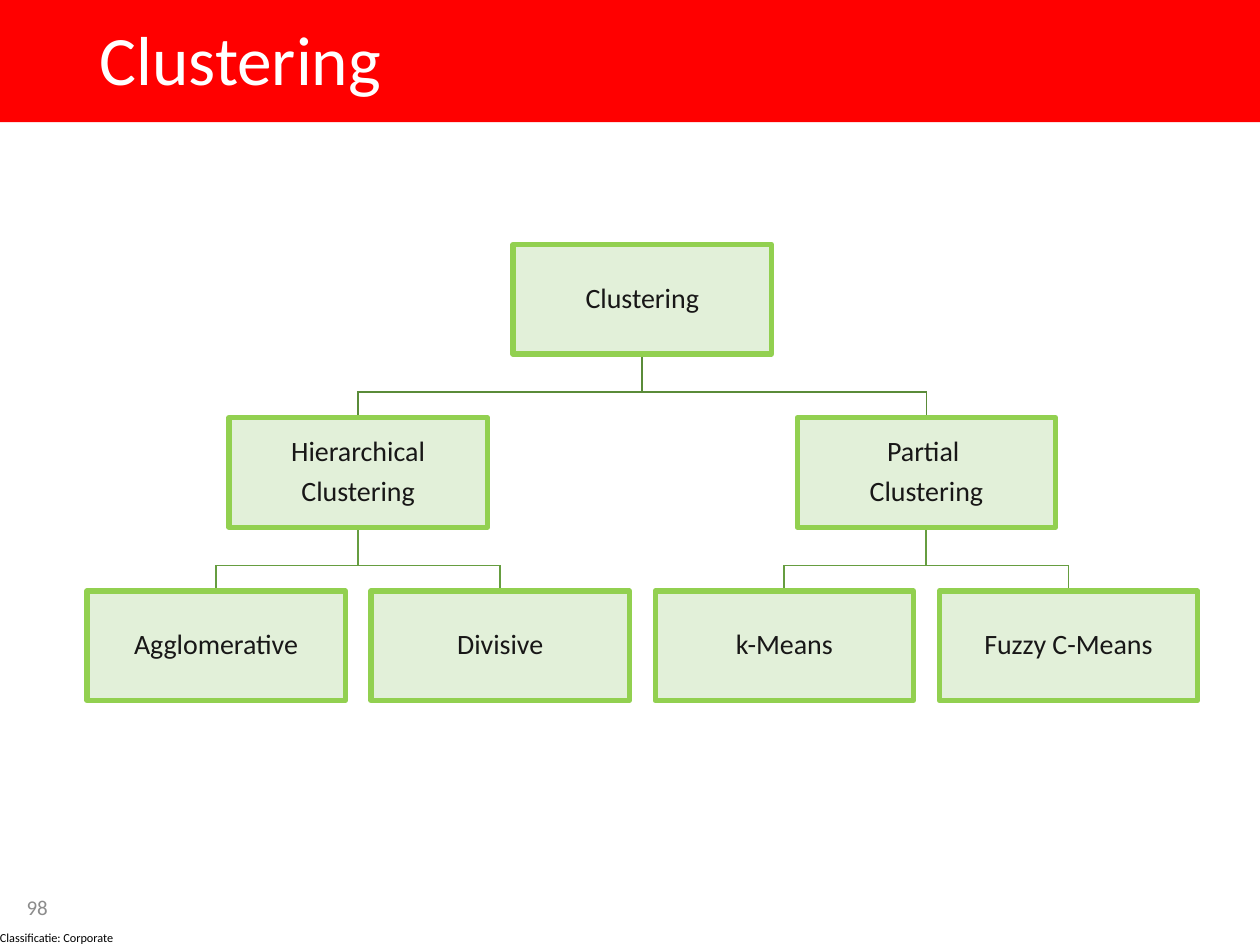
from lxml.etree import SubElement
from pptx import Presentation
from pptx.dml.color import RGBColor
from pptx.enum.shapes import MSO_SHAPE
from pptx.enum.text import MSO_ANCHOR, PP_ALIGN
from pptx.oxml.ns import qn
from pptx.util import Inches, Pt

RED = RGBColor(0xFF, 0x00, 0x00)
WHITE = RGBColor(0xFF, 0xFF, 0xFF)
BLACK = RGBColor(0x00, 0x00, 0x00)
GREY = RGBColor(0x8C, 0x8C, 0x8C)
INK = RGBColor(0x18, 0x17, 0x17)
PALE_GREEN = RGBColor(0xE2, 0xF0, 0xD9)
LIME = RGBColor(0x92, 0xD0, 0x50)
# Connector colour by the row of the parent
LINK_GREENS = [RGBColor(0x5A, 0x8B, 0x39), RGBColor(0x66, 0x9D, 0x40)]

# Tree grid, in inches
LEFT, TOP = 0.69, 1.94
COL, ROW = 2.255, 1.375
BOX_W, BOX_H = 2.05, 0.87


def write(shape, text, size, color, align=PP_ALIGN.LEFT, anchor=MSO_ANCHOR.MIDDLE,
          spacing=1.0, after=0, inset=None, wrap=True):
    """Fill a shape with text, one paragraph a line."""
    tf = shape.text_frame
    tf.word_wrap = wrap
    tf.vertical_anchor = anchor
    if inset is not None:
        tf.margin_left = tf.margin_right = Inches(inset)
        tf.margin_top = tf.margin_bottom = Inches(inset)
    tf.text = text
    for p in tf.paragraphs:
        p.alignment = align
        p.line_spacing = spacing
        p.space_before, p.space_after = Pt(0), Pt(after)
        for r in p.runs:
            r.font.name, r.font.size = "Calibri", Pt(size)
            r.font.color.rgb = color


class TreeSlide:
    def __init__(self, prs):
        self.s = prs.slides.add_slide(prs.slide_layouts[5])

    def title(self, text, *at):
        sp = self.s.shapes.title
        sp.left, sp.top, sp.width, sp.height = map(Inches, at)
        write(sp, text, 39.6, WHITE, spacing=0.9)

    def rect(self, at, fill, line=None):
        sp = self.s.shapes.add_shape(MSO_SHAPE.RECTANGLE, *map(Inches, at))
        sp.shadow.inherit = False
        sp.fill.solid()
        sp.fill.fore_color.rgb = fill
        if line is None:
            sp.line.fill.background()
        else:
            sp.line.color.rgb, sp.line.width = line, Pt(3)
        return sp

    def label(self, at, text, size, color, **style):
        write(self.s.shapes.add_textbox(*map(Inches, at)), text, size, color, **style)

    def node(self, col, row, text):
        at = LEFT + col * COL, TOP + row * ROW, BOX_W, BOX_H
        write(self.rect(at, PALE_GREEN, LIME), text, 16, INK, align=PP_ALIGN.CENTER,
              spacing=0.9, after=5.6, inset=0.01)

    def link(self, parent, child, row):
        """Draw a stepped line from a parent down to a child in the next row."""
        x1, x2 = (LEFT + col * COL + BOX_W / 2 for col in (parent, child))
        y1, y2 = TOP + row * ROW + BOX_H, TOP + (row + 1) * ROW
        bend = y1 + 0.6 * (y2 - y1)
        path = self.s.shapes.build_freeform(Inches(x1), Inches(y1))
        path.add_line_segments([(Inches(x), Inches(y)) for x, y in
                                ((x1, bend), (x2, bend), (x2, y2))], close=False)
        sp = path.convert_to_shape()
        sp.shadow.inherit = False
        sp.fill.background()
        sp.line.color.rgb, sp.line.width = LINK_GREENS[row], Pt(1)
        # Mitred corners
        SubElement(sp.line._get_or_add_ln(), qn("a:miter"), lim="800000")


def main():
    prs = Presentation()
    prs.slide_width, prs.slide_height = Inches(10), Inches(7.5)
    slide = TreeSlide(prs)

    # Header band, behind the title
    band = slide.rect((0, 0, 10, 0.97), RED)
    slide.s.shapes.title._element.addprevious(band._element)
    slide.title("Clustering", 0.69, 0.13, 8.62, 0.74)

    # Footer
    slide.label((0, 7.38, 0.94, 0.12), "Classificatie: Corporate", 7, BLACK,
                anchor=MSO_ANCHOR.TOP, inset=0, wrap=False)
    slide.label((0, 7.05, 0.59, 0.3), "98", 12, GREY, align=PP_ALIGN.CENTER,
                anchor=MSO_ANCHOR.BOTTOM)

    # Tree: column, row, text and the parent's column
    nodes = [
        (1.5, 0, "Clustering", None),
        (0.5, 1, "Hierarchical\nClustering", 1.5),
        (2.5, 1, "Partial \nClustering", 1.5),
        (0, 2, "Agglomerative", 0.5),
        (1, 2, "Divisive", 0.5),
        (2, 2, "k-Means", 2.5),
        (3, 2, "Fuzzy C-Means", 2.5),
    ]
    for col, row, _, parent in nodes:
        if parent is not None:
            slide.link(parent, col, row - 1)
    for col, row, text, _ in nodes:
        slide.node(col, row, text)

    prs.save("out.pptx")


if __name__ == "__main__":
    main()
